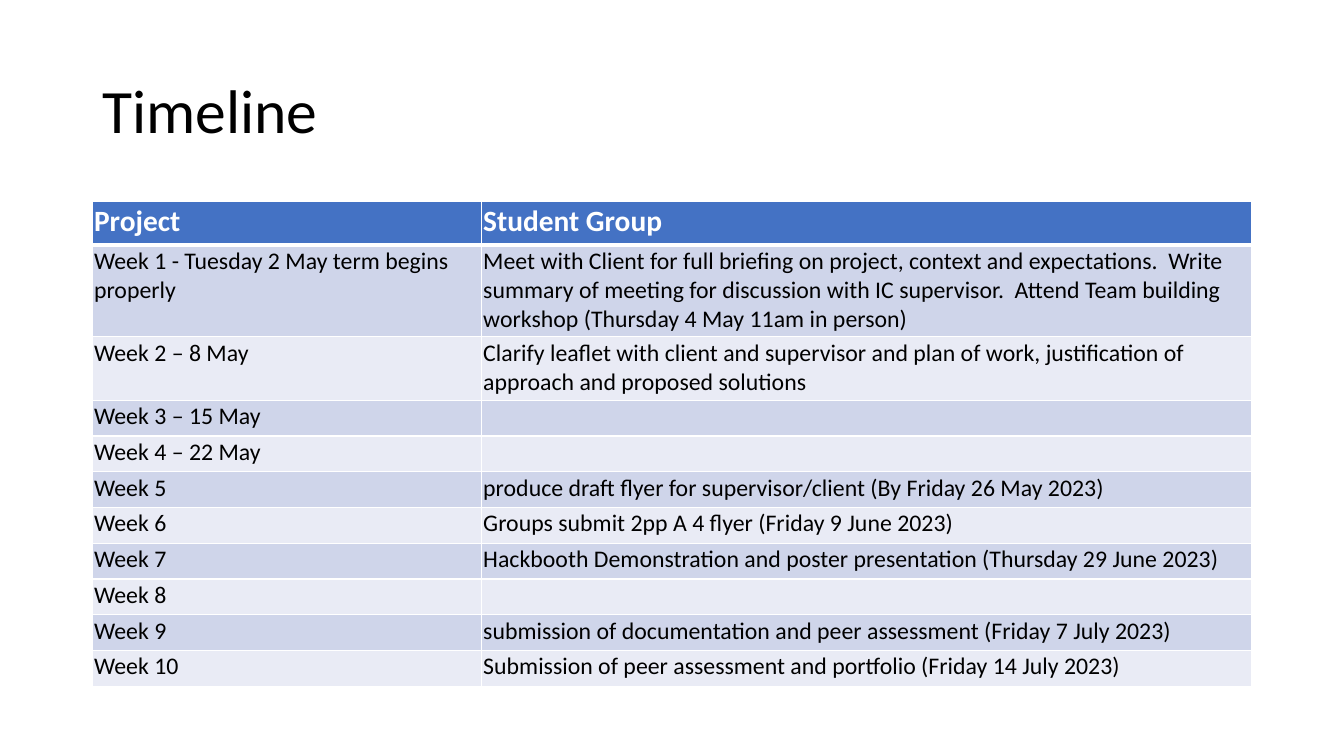
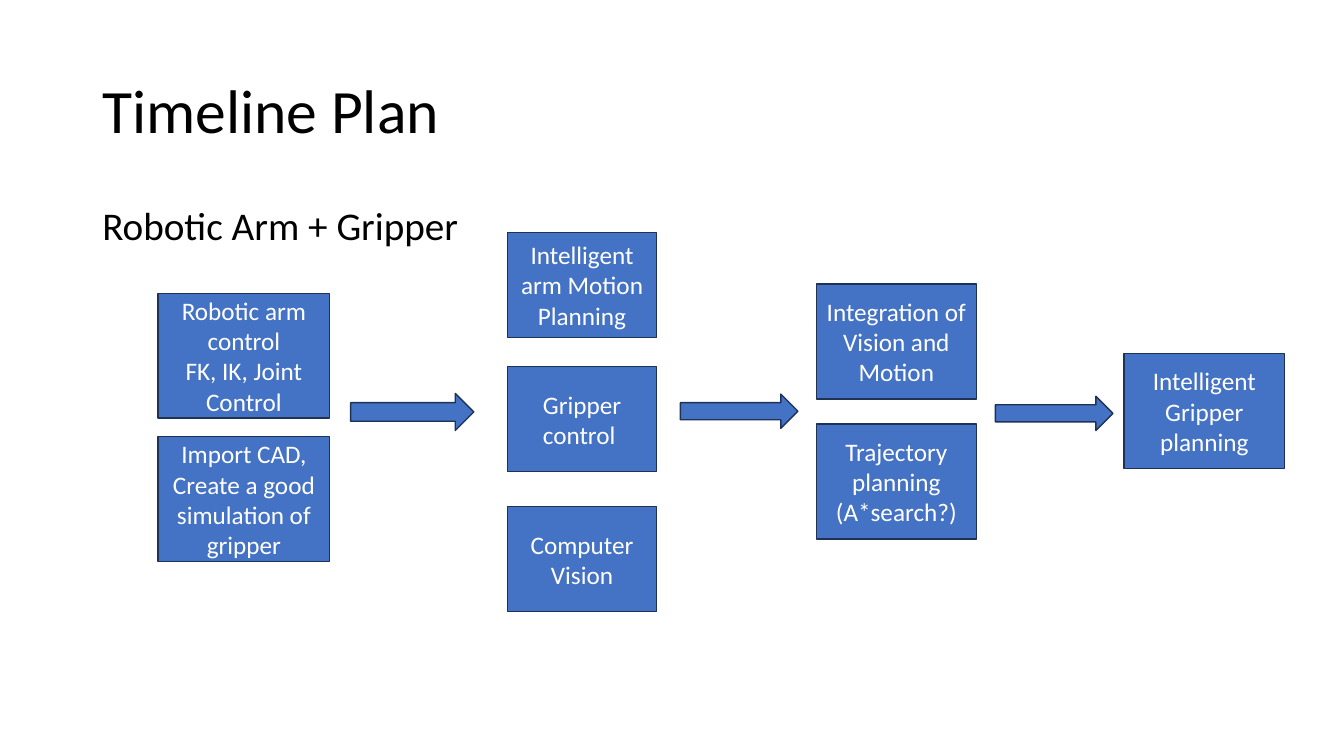
"""Build a two-slide project timeline: a week table and a flow of tasks."""
from lxml.etree import SubElement as Sub
from pptx import Presentation
from pptx.dml.color import RGBColor as Rgb
from pptx.enum.shapes import MSO_SHAPE as Kind
from pptx.enum.text import MSO_ANCHOR as Anchor, PP_ALIGN as Align
from pptx.oxml.ns import qn
from pptx.util import Pt

FACE = "Calibri"
BLACK, WHITE = "000000", "FFFFFF"
BLUE, NAVY = "4472C4", "1E3256"
BANDS = ("CFD5EA", "E9EBF5")
LEFT, WIDE = 66, 828

WEEKS = [
    ("Project", "Student Group"),
    ("Week 1 - Tuesday 2 May term begins properly",
     "Meet with Client for full briefing on project, context and expectations.  "
     "Write summary of meeting for discussion with IC supervisor.  "
     "Attend Team building workshop (Thursday 4 May 11am in person)"),
    ("Week 2 – 8 May",
     "Clarify leaflet with client and supervisor and plan of work, "
     "justification of approach and proposed solutions"),
    ("Week 3 – 15 May", ""),
    ("Week 4 – 22 May", ""),
    ("Week 5", "produce draft flyer for supervisor/client (By Friday 26 May 2023)"),
    ("Week 6", "Groups submit 2pp A 4 flyer (Friday 9 June 2023)"),
    ("Week 7", "Hackbooth Demonstration and poster presentation (Thursday 29 June 2023)"),
    ("Week 8", ""),
    ("Week 9", "submission of documentation and peer assessment (Friday 7 July 2023)"),
    ("Week 10", "Submission of peer assessment and portfolio (Friday 14 July 2023)"),
]
COLS = (278, 550)
ROWS = [31, 65.5, 45.4] + [25.55] * 8

STAGES = [
    (113, 122.5, 89, [(209.5, "Robotic arm control\nFK, IK, Joint Control"),
                      (312, "Import CAD,\nCreate a good simulation of gripper")]),
    (362.5, 106.5, 75, [(166, "Intelligent arm Motion Planning"),
                        (262, "Gripper control "),
                        (362, "Computer Vision")]),
    (583, 114.5, 82, [(203, "Integration of Vision and Motion"),
                      (303, "Trajectory planning\n(A*search?)")]),
    (803, 114.5, 82, [(252.5, "Intelligent Gripper planning")]),
]
ARROWS = [(250.5, 281, 88, 26.5), (486, 281.5, 84, 24.5), (711, 283, 84, 24.5)]


def tint(color, code):
    """Set a colour from a hex string."""
    color.rgb = Rgb.from_string(code)


def fill(item, code):
    """Give a shape or cell a solid fill."""
    item.fill.solid()
    tint(item.fill.fore_color, code)


def style(frame, size, code, bold=False, align=Align.LEFT, lead=None):
    """Set the font, alignment and line spacing of every paragraph."""
    for para in frame.paragraphs:
        font = para.font
        font.name, font.size, font.bold = FACE, Pt(size), bold
        tint(font.color, code)
        para.alignment = align
        para.line_spacing = lead


def add_text(slide, top, high, text, size, anchor):
    """Add a full-width line of text."""
    box = slide.shapes.add_textbox(Pt(LEFT), Pt(top), Pt(WIDE), Pt(high))
    frame = box.text_frame
    frame.word_wrap = True
    frame.vertical_anchor = anchor
    frame.text = text
    style(frame, size, BLACK, lead=0.9)


def add_slide(deck, title):
    """Add a blank slide with the shared title."""
    slide = deck.slides.add_slide(deck.slide_layouts[6])
    add_text(slide, 28.75, 104.4, title, 44, Anchor.MIDDLE)
    return slide


def edge(cell, side, width):
    """Draw one white cell border."""
    line = Sub(cell._tc.get_or_add_tcPr(), qn("a:ln" + side), w=str(Pt(width)))
    Sub(Sub(line, qn("a:solidFill")), qn("a:srgbClr"), val=WHITE)


def set_cell(cell, text, row):
    """Fill, frame and write one table cell."""
    head = row == 0
    for side in "LRTB":
        thick = (head and side == "B") or (row == 1 and side == "T")
        edge(cell, side, 3 if thick else 1)
    fill(cell, BLUE if head else BANDS[(row - 1) % 2])
    cell.margin_left = cell.margin_right = cell.margin_top = Pt(1.2)
    cell.margin_bottom = Pt(0)
    cell.text = text
    style(cell.text_frame, 21 if head else 17, WHITE if head else BLACK, head)


def add_weeks(slide):
    """Add the table of weeks."""
    table = slide.shapes.add_table(len(WEEKS), len(COLS), Pt(LEFT), Pt(144),
                                   Pt(WIDE), Pt(sum(ROWS))).table
    for col, width in zip(table.columns, COLS):
        col.width = Pt(width)
    for row, (high, texts) in enumerate(zip(ROWS, WEEKS)):
        table.rows[row].height = Pt(high)
        for col, text in enumerate(texts):
            set_cell(table.cell(row, col), text, row)


def add_block(slide, kind, left, top, width, high, text=""):
    """Add a blue outlined shape with centred text."""
    block = slide.shapes.add_shape(kind, Pt(left), Pt(top), Pt(width), Pt(high))
    block.shadow.inherit = False
    fill(block, BLUE)
    tint(block.line.color, NAVY)
    block.line.width = Pt(1)
    if text:
        frame = block.text_frame
        frame.word_wrap = True
        frame.vertical_anchor = Anchor.MIDDLE
        frame.text = text
        style(frame, 18, WHITE, align=Align.CENTER)


def add_flow(slide):
    """Add the task boxes and the arrows between stages."""
    for left, width, high, tasks in STAGES:
        for top, text in tasks:
            add_block(slide, Kind.RECTANGLE, left, top, width, high, text)
    for place in ARROWS:
        add_block(slide, Kind.RIGHT_ARROW, *place)


def main():
    """Build and save the deck."""
    deck = Presentation()
    deck.slide_width, deck.slide_height = Pt(960), Pt(540)
    add_weeks(add_slide(deck, "Timeline"))
    plan = add_slide(deck, "Timeline Plan")
    add_text(plan, 144, 342.6, "Robotic Arm + Gripper", 28, Anchor.TOP)
    add_flow(plan)
    deck.save("out.pptx")


if __name__ == "__main__":
    main()
